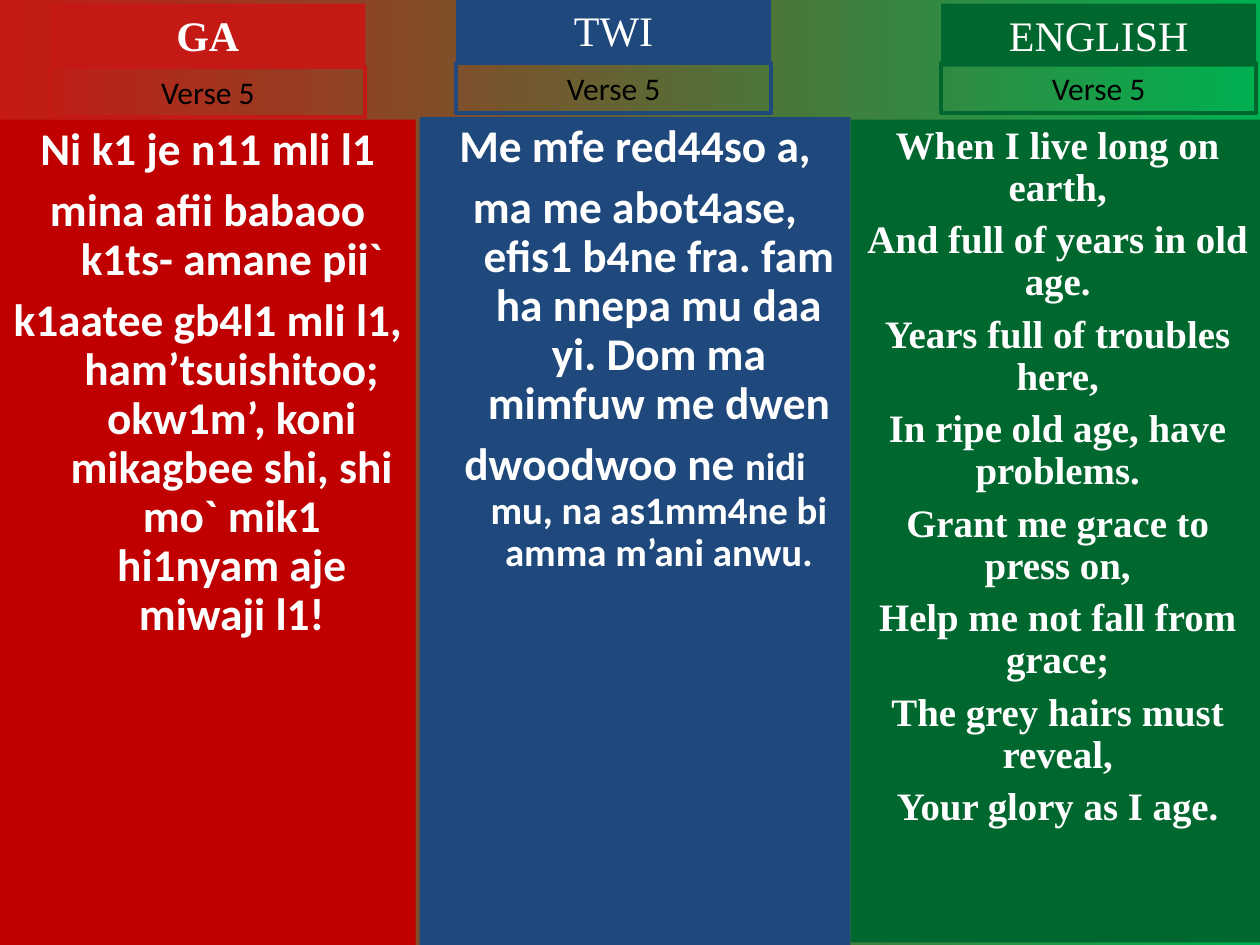
from pptx import Presentation
from pptx.dml.color import RGBColor
from pptx.enum.shapes import MSO_SHAPE
from pptx.enum.text import MSO_ANCHOR, MSO_AUTO_SIZE, PP_ALIGN
from pptx.util import Inches, Pt

RECT = MSO_SHAPE.RECTANGLE
TOP = MSO_ANCHOR.TOP
GROW, FIXED = MSO_AUTO_SIZE.SHAPE_TO_FIT_TEXT, MSO_AUTO_SIZE.NONE
CENTER = PP_ALIGN.CENTER

RED = RGBColor(0xC5, 0x19, 0x15)
DARK_RED = RGBColor(0xC0, 0x00, 0x00)
BLUE = RGBColor(0x1F, 0x49, 0x7D)
GREEN = RGBColor(0x00, 0x68, 0x2F)
BRIGHT_GREEN = RGBColor(0x00, 0xB0, 0x50)
WHITE = RGBColor(0xFF, 0xFF, 0xFF)
BLACK = RGBColor(0x00, 0x00, 0x00)

SANS, SERIF = "Calibri", "Times New Roman"
LABEL_WIDTH = 2.5
LARGE, SMALL = 25.9, 22.2

# Each paragraph is a list of (text, size) runs
GA_VERSE = [
    [("Ni k1 je n11 mli l1", LARGE)],
    [("mina afii babaoo k1ts- amane pii`", LARGE)],
    [("k1aatee gb4l1 mli l1, ham’tsuishitoo; okw1m’, koni mikagbee shi, "
      "shi mo` mik1 hi1nyam aje miwaji l1!", LARGE)],
]
TWI_VERSE = [
    [("Me mfe red44so a,", LARGE)],
    [("ma me abot4ase, efis1 b4ne fra. fam ha nnepa mu daa yi. "
      "Dom ma mimfuw me dwen", LARGE)],
    [("dwoodwoo ne ", LARGE),
     ("nidi mu, na as1mm4ne bi amma m’ani anwu.", SMALL)],
]
ENGLISH_VERSE = [[(line, SMALL)] for line in (
    "When I live long on earth,",
    "And full of years in old age.",
    "Years full of troubles here,",
    "In ripe old age, have problems.",
    "Grant me grace to press on,",
    "Help me not fall from grace;",
    "The grey hairs must reveal,",
    "Your glory as I age.",
)]


def set_background(slide):
    fill = slide.background.fill
    fill.gradient()
    fill.gradient_angle = 0
    for stop, position, color in zip(fill.gradient_stops, (0, 1), (RED, BRIGHT_GREEN)):
        stop.position = position
        stop.color.rgb = color


def add_box(slide, box, fill=None, line=None, auto_size=FIXED):
    sp = slide.shapes.add_shape(RECT, *map(Inches, box))
    sp.shadow.inherit = False
    if fill is None:
        sp.fill.background()
    else:
        sp.fill.solid()
        sp.fill.fore_color.rgb = fill
    if line is None:
        sp.line.fill.background()
    else:
        sp.line.color.rgb = line
        sp.line.width = Pt(2.25)
    tf = sp.text_frame
    frame = {"word_wrap": True, "vertical_anchor": TOP, "auto_size": auto_size}
    for name, value in frame.items():
        setattr(tf, name, value)
    return tf


def add_run(p, text, color, **font):
    r = p.add_run()
    r.text = text
    r.font.color.rgb = color
    for name, value in font.items():
        setattr(r.font, name, value)


def add_label(slide, box, text, color, fill=None, line=None, **font):
    tf = add_box(slide, box, fill, line, GROW)
    p = tf.paragraphs[0]
    p.alignment = CENTER
    add_run(p, text, color, **font)


def add_verse(slide, box, fill, verse, font_name, hanging):
    tf = add_box(slide, box, fill)
    for i, runs in enumerate(verse):
        p = tf.add_paragraph() if i else tf.paragraphs[0]
        p.alignment = CENTER
        p.line_spacing = 0.9
        p.space_before = Pt((7 if runs[0][1] == LARGE else 6) if i else 0)
        if hanging:
            pPr = p._p.get_or_add_pPr()
            pPr.set("marL", str(Inches(0.38)))
            pPr.set("indent", str(Inches(-0.38)))
        for text, size in runs:
            add_run(p, text, WHITE, name=font_name, size=Pt(size), bold=True)


def main():
    prs = Presentation()
    prs.slide_width, prs.slide_height = Inches(10), Inches(7.5)
    slide = prs.slides.add_slide(prs.slide_layouts[6])
    set_background(slide)

    # Verse panels: box, fill, text, font, hanging indent
    panels = [
        ((0, 0.95, 3.3, 6.55), DARK_RED, GA_VERSE, SANS, True),
        ((3.33, 0.93, 3.42, 6.57), BLUE, TWI_VERSE, SANS, True),
        ((6.75, 0.95, 3.29, 6.53), GREEN, ENGLISH_VERSE, SERIF, False),
    ]
    for panel in panels:
        add_verse(slide, *panel)

    # Language titles with their verse numbers: name, left, tops, color, bold
    headers = [
        ("GA", 0.4, 0.03, 0.53, RED, True),
        ("TWI", 3.62, -0.01, 0.5, BLUE, False),
        ("ENGLISH", 7.47, 0.03, 0.5, GREEN, False),
    ]
    for language, left, title_top, verse_top, color, bold in headers:
        add_label(slide, (left, title_top, LABEL_WIDTH, 0.5), language, WHITE,
                  fill=color, name=SERIF, size=Pt(24), bold=bold)
        add_label(slide, (left, verse_top, LABEL_WIDTH, 0.4), "Verse 5", BLACK,
                  line=color, name=SANS, size=Pt(18))

    prs.save("out.pptx")


if __name__ == "__main__":
    main()
